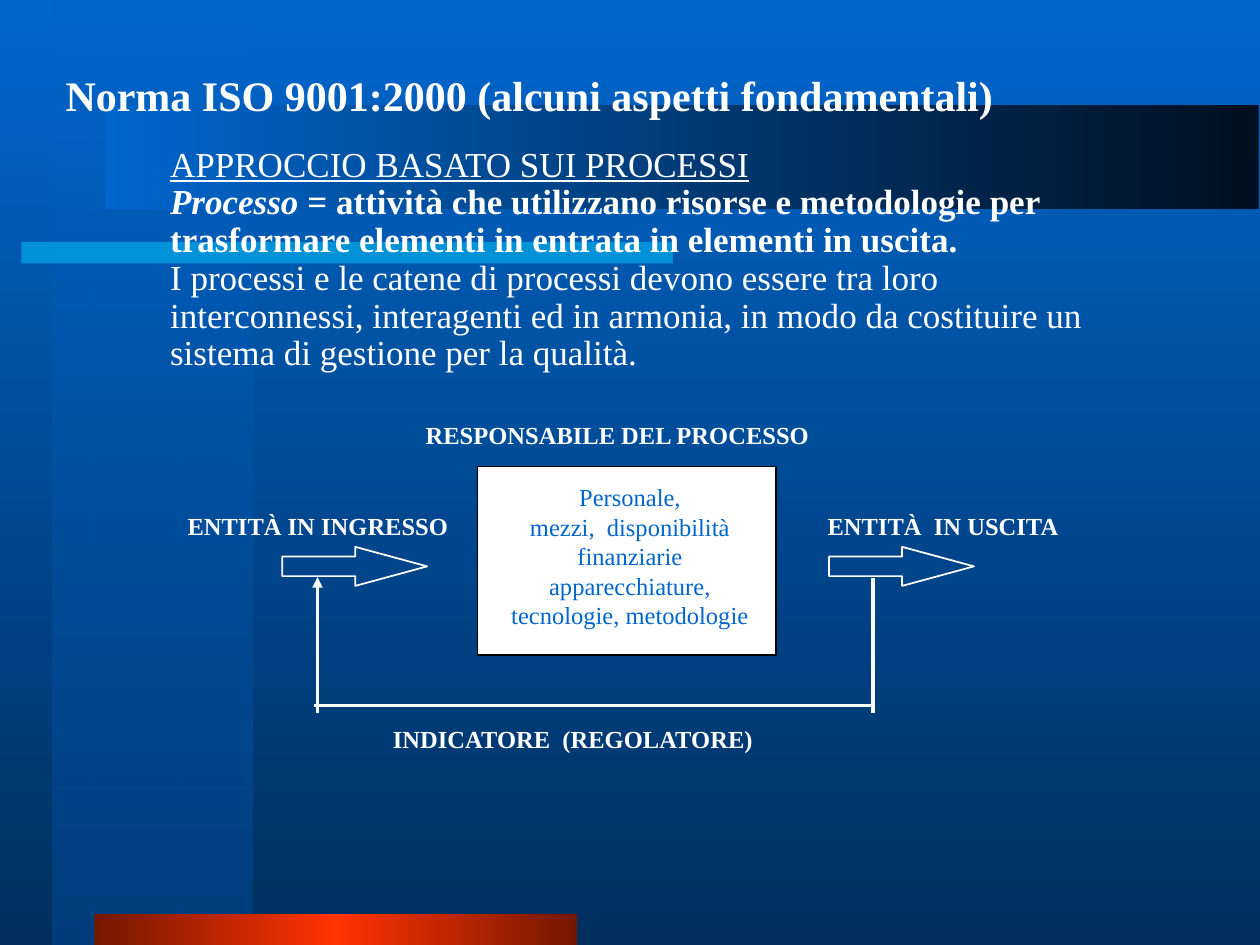
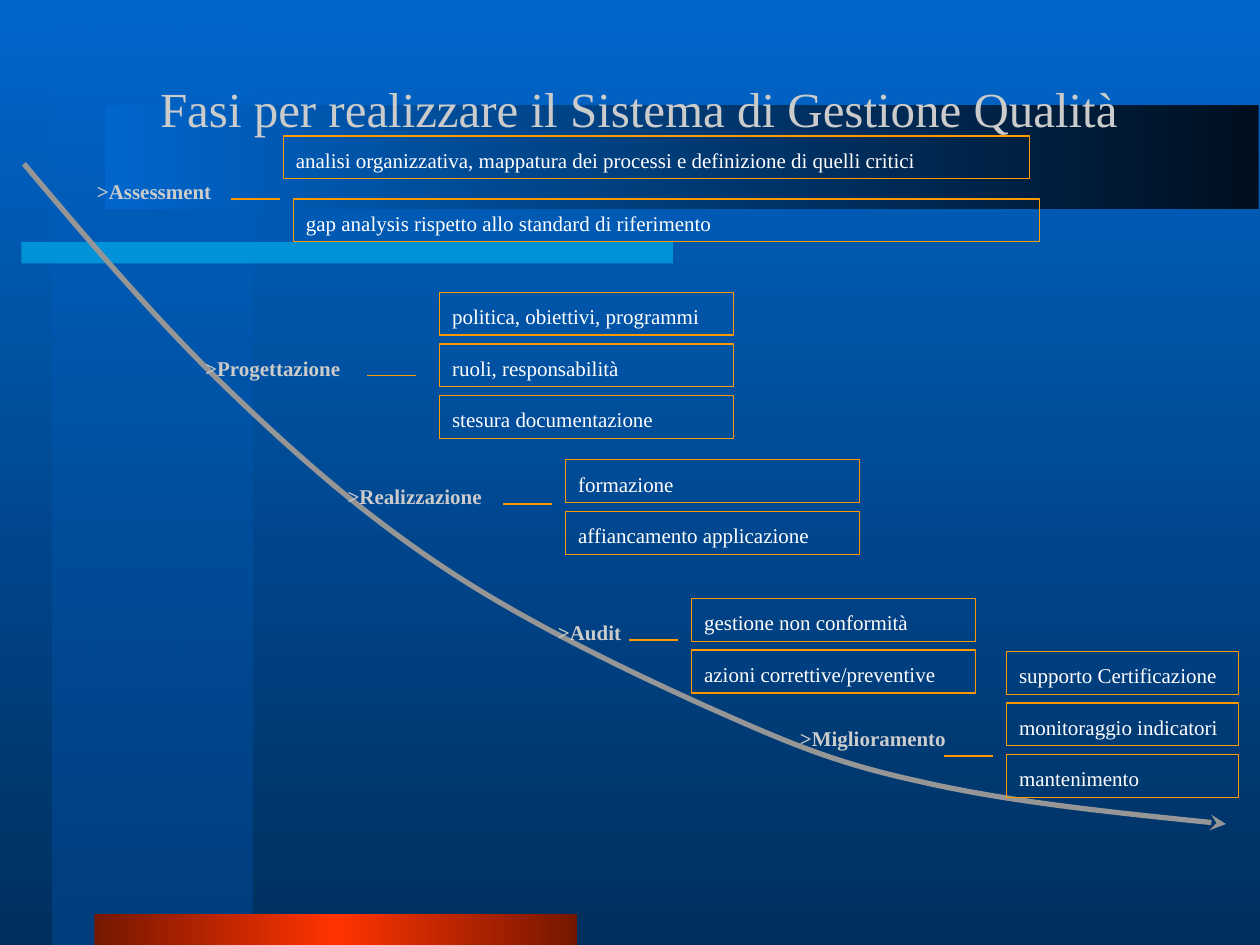
from dataclasses import dataclass

from lxml.etree import SubElement
from pptx import Presentation
from pptx.dml.color import RGBColor
from pptx.enum.shapes import MSO_CONNECTOR, MSO_SHAPE
from pptx.enum.text import MSO_ANCHOR, MSO_AUTO_SIZE, PP_ALIGN
from pptx.oxml.ns import qn
from pptx.util import Inches, Pt

FONT = "Times New Roman"
WHITE, BLACK, PALE, GREY = "FFFFFF", "000000", "CBCBCB", "969696"
BLUE, NAVY, ORANGE, CYAN = "0066CC", "002F5E", "FF9900", "00CCFF"
TITLE_LAYOUT = {"body": 1, "plain": 5}


# Shared helpers
def rgb(value):
    return RGBColor.from_string(value)


def place(shape, left, top, width, height):
    shape.left, shape.top = Inches(left), Inches(top)
    shape.width, shape.height = Inches(width), Inches(height)


def set_alpha(colour, percent):
    SubElement(colour, qn("a:alpha")).set("val", str(percent * 1000))


def paint_gradient(owner, fill, stops, angle):
    """Each stop is (position, colour) or (position, colour, opacity)."""
    fill.gradient()
    gradient = next(owner.element.iter(qn("a:gradFill")))
    stop_list = gradient.find(qn("a:gsLst"))
    for old_stop in list(stop_list):
        stop_list.remove(old_stop)
    for position, value, *opacity in stops:
        stop = SubElement(stop_list, qn("a:gs"))
        stop.set("pos", str(position * 1000))
        colour = SubElement(stop, qn("a:srgbClr"))
        colour.set("val", value)
        for percent in opacity:
            set_alpha(colour, percent)
    gradient.find(qn("a:lin")).set("ang", str(angle * 60000))


def add_arrowhead(shape, style):
    line = next(shape.element.iter(qn("a:ln")))
    SubElement(line, qn("a:tailEnd")).set("type", style)


def add_box(slide, preset, left, top, width, height,
            fill=None, line=None, weight=0.75):
    box = slide.shapes.add_shape(preset, Inches(left), Inches(top),
                                 Inches(width), Inches(height))
    box.shadow.inherit = False
    if fill:
        box.fill.solid()
        box.fill.fore_color.rgb = rgb(fill)
    else:
        box.fill.background()
    if line:
        box.line.color.rgb = rgb(line)
        box.line.width = Pt(weight)
    else:
        box.line.fill.background()
    return box


def add_line(slide, start, end, colour, weight, head=None):
    line = slide.shapes.add_connector(
        MSO_CONNECTOR.STRAIGHT, *(Inches(v) for v in (*start, *end)))
    line.line.color.rgb = rgb(colour)
    line.line.width = Pt(weight)
    if head:
        add_arrowhead(line, head)
    SubElement(line.element.spPr, qn("a:effectLst"))


def write(frame, paragraphs, size, colour, align=PP_ALIGN.LEFT,
          spacing=None, before=0, anchor=MSO_ANCHOR.TOP, wrap=True):
    """Each paragraph is a list of (text, styles) runs; None breaks the line."""
    frame.word_wrap = wrap
    frame.auto_size = MSO_AUTO_SIZE.NONE
    frame.vertical_anchor = anchor
    for number, runs in enumerate(paragraphs):
        paragraph = frame.add_paragraph() if number else frame.paragraphs[0]
        paragraph.alignment = align
        paragraph.space_before = Pt(before)
        if spacing:
            paragraph.line_spacing = spacing
        for item in runs:
            if item is None:
                paragraph.add_line_break()
                continue
            text, styles = item
            run = paragraph.add_run()
            run.text = text
            run.font.name = FONT
            run.font.size = Pt(size)
            run.font.color.rgb = rgb(colour)
            for style in styles.split():
                setattr(run.font, style, True)


def add_text(slide, left, top, width, height, lines, size, colour,
             styles="bold", **layout):
    label = slide.shapes.add_textbox(Inches(left), Inches(top),
                                     Inches(width), Inches(height))
    write(label.text_frame, [[(line, styles)] for line in lines],
          size, colour, **layout)


def set_title(slide, box, text, size, colour, styles="", indent=0.1,
              anchor=MSO_ANCHOR.TOP):
    title = slide.shapes.title
    place(title, *box)
    title.text_frame.margin_left = Inches(indent)
    write(title.text_frame, [[(text, styles)]], size, colour, anchor=anchor)


# Background and decorative bands, kept on the master
def decorate_master(master, slide):
    paint_gradient(master, master.background.fill, [(0, BLUE), (100, NAVY)], 90)

    def band(*box):
        return add_box(slide, MSO_SHAPE.RECTANGLE, *box, fill=CYAN)

    column = band(0.42, 0, 1.58, 7.5)
    paint_gradient(column, column.fill, [(0, BLUE, 50), (100, "003E7D")], 90)
    stripe = band(0.17, 1.92, 5.17, 0.17)
    set_alpha(next(stripe.element.spPr.iter(qn("a:srgbClr"))), 50)
    footer = band(0.75, 7.25, 3.83, 0.25)
    paint_gradient(footer, footer.fill,
                   [(0, "751700"), (50, "FF3300"), (100, "751700")], 180)
    header = band(0.83, 0.83, 9.16, 0.83)
    paint_gradient(header, header.fill, [(0, "000F1F"), (100, BLUE)], 180)
    for depth, part in enumerate((column, stripe, footer, header), start=2):
        master.shapes.element.insert(depth, part.element)


# Slide 1: the process approach
def fill_approach(slide, *box):
    body = slide.placeholders[1]
    place(body, *box)
    write(body.text_frame, [
        [("APPROCCIO BASATO SUI PROCESSI", "underline")],
        [("Processo =", "bold italic"),
         (" attività che utilizzano risorse e metodologie per trasformare "
          "elementi in entrata in elementi in uscita.", "bold"),
         None,
         ("I processi e le catene di processi devono essere tra loro "
          "interconnessi, interagenti ed in armonia, in modo da costituire "
          "un sistema di gestione per la qualità.", "")],
    ], 20, WHITE)
    body.text_frame.paragraphs[1].line_spacing = 0.9
    for paragraph in body.text_frame.paragraphs:
        properties = paragraph._p.get_or_add_pPr()
        properties.set("marL", "0")
        properties.set("indent", "0")
        SubElement(properties, qn("a:buNone"))


def draw_process(slide, left, top):
    def at(x, y):
        return left + x, top + y

    # Resources used by the process
    add_box(slide, MSO_SHAPE.RECTANGLE, *at(2.4, 0.46), 2.37, 1.5, WHITE, BLACK)
    add_text(slide, *at(2.36, 0.54), 2.5, 1.26,
             ["Personale,", "mezzi,  disponibilità finanziarie",
              "apparecchiature,", "tecnologie, metodologie"],
             14, BLUE, styles="", align=PP_ALIGN.CENTER)

    # Input and output
    for x in (0.85, 5.19):
        arrow = add_box(slide, MSO_SHAPE.RIGHT_ARROW, *at(x, 1.1), 1.15, 0.31,
                        line=WHITE, weight=1)
        arrow.adjustments[1] = 1.84
    add_text(slide, *at(0, 0.77), 2.27, 0.33, ["ENTITÀ IN INGRESSO"],
             14, WHITE, wrap=False)
    add_text(slide, *at(5.08, 0.77), 2.08, 0.33, ["ENTITÀ  IN USCITA"],
             14, WHITE)

    # Feedback loop
    add_line(slide, at(5.54, 1.35), at(5.54, 2.42), WHITE, 2)
    add_line(slide, at(5.54, 2.36), at(1.1, 2.36), WHITE, 2)
    add_line(slide, at(1.13, 2.42), at(1.13, 1.34), WHITE, 2, "triangle")

    # Owner above, indicator below
    for x, y, caption in ((1.89, 0, "RESPONSABILE DEL PROCESSO"),
                          (1.63, 2.41, "INDICATORE  (REGOLATORE)")):
        add_text(slide, *at(x, y), 3.63, 0.38, [caption], 14, WHITE,
                 spacing=1.2, before=8.8)


# Slide 2: the phases along a falling curve
@dataclass
class Phase:
    name: str
    origin: tuple
    width: float
    dash: tuple        # offset from the origin
    stack: tuple       # offset from the origin
    task_width: float
    tasks: list
    step: tuple = (0, 0.41)


PHASES = [
    Phase("Assessment", (0.67, 1.33), 1.39, (1.16, 0.25), (1.58, -0.25), 5.92,
          ["analisi organizzativa, mappatura dei processi e definizione "
           "di quelli critici",
           "gap analysis rispetto allo standard di riferimento"], (0.08, 0.5)),
    Phase("Progettazione", (1.53, 2.73), 1.46, (1.38, 0.25), (1.96, -0.41), 2.33,
          ["politica, obiettivi, programmi", "ruoli, responsabilità",
           "stesura documentazione"]),
    Phase("Realizzazione", (2.66, 3.75), 1.42, (1.33, 0.25), (1.83, -0.1), 2.33,
          ["formazione", "affiancamento applicazione"]),
    Phase("Audit", (4.33, 4.83), 0.83, (0.66, 0.25), (1.16, -0.08), 2.25,
          ["gestione non conformità", "azioni correttive/preventive"]),
    Phase("Miglioramento", (6.25, 5.67), 1.58, (1.24, 0.33), (1.74, -0.5), 1.84,
          ["supporto Certificazione", "monitoraggio indicatori",
           "mantenimento"]),
]

# Start point, then two control points and an end point for each bend
CURVE = [(0.19, 1.3),
         (0.72, 1.93), (1.26, 2.56), (1.82, 3.1),
         (2.38, 3.64), (2.91, 4.1), (3.53, 4.51),
         (4.16, 4.93), (4.97, 5.32), (5.59, 5.6),
         (6.22, 5.88), (6.6, 6.05), (7.29, 6.2),
         (7.98, 6.36), (8.85, 6.45), (9.73, 6.54)]


def draw_curve(slide, points):
    start, *rest = [(Inches(x), Inches(y)) for x, y in points]
    builder = slide.shapes.build_freeform(*start)
    builder.add_line_segments(rest, close=False)
    curve = builder.convert_to_shape()
    curve.shadow.inherit = False
    curve.fill.background()
    curve.line.color.rgb = rgb(GREY)
    curve.line.width = Pt(3)
    add_arrowhead(curve, "stealth")
    # Turn every three segments into one Bézier bend
    outline = next(curve.element.iter(qn("a:path")))
    segments = outline.findall(qn("a:lnTo"))
    for first in range(0, len(segments), 3):
        bend = SubElement(outline, qn("a:cubicBezTo"))
        for segment in segments[first:first + 3]:
            bend.append(segment[0])
            outline.remove(segment)


def draw_phase(slide, phase):
    left, top = phase.origin
    add_text(slide, left, top, phase.width, 0.34, [">" + phase.name],
             12, PALE, spacing=1.2, before=7.5)
    x, y = left + phase.dash[0], top + phase.dash[1]
    add_line(slide, (x, y), (x + 0.39, y), ORANGE, 0.75)
    for row, task in enumerate(phase.tasks):
        box = add_box(slide, MSO_SHAPE.RECTANGLE,
                      left + phase.stack[0] + row * phase.step[0],
                      top + phase.stack[1] + row * phase.step[1],
                      phase.task_width, 0.34, line=ORANGE)
        write(box.text_frame, [[(task, "")]], 12, WHITE,
              spacing=1.2, before=7.5)


def main():
    deck = Presentation()
    deck.slide_width, deck.slide_height = Inches(10), Inches(7.5)

    approach = deck.slides.add_slide(deck.slide_layouts[TITLE_LAYOUT["body"]])
    decorate_master(deck.slide_master, approach)
    set_title(approach, (0.42, 0.5, 8.6, 0.5),
              "Norma ISO 9001:2000 (alcuni aspetti fondamentali)",
              24, WHITE, "bold")
    fill_approach(approach, 1.25, 1.08, 7.54, 1.93)
    draw_process(approach, 1.39, 3.24)

    roadmap = deck.slides.add_slide(deck.slide_layouts[TITLE_LAYOUT["plain"]])
    set_title(roadmap, (0.17, 0.57, 9.67, 0.57),
              "Fasi per realizzare il Sistema di Gestione Qualità",
              28, PALE, indent=1.1, anchor=MSO_ANCHOR.MIDDLE)
    draw_curve(roadmap, CURVE)
    for phase in PHASES:
        draw_phase(roadmap, phase)

    deck.save("out.pptx")


if __name__ == "__main__":
    main()
